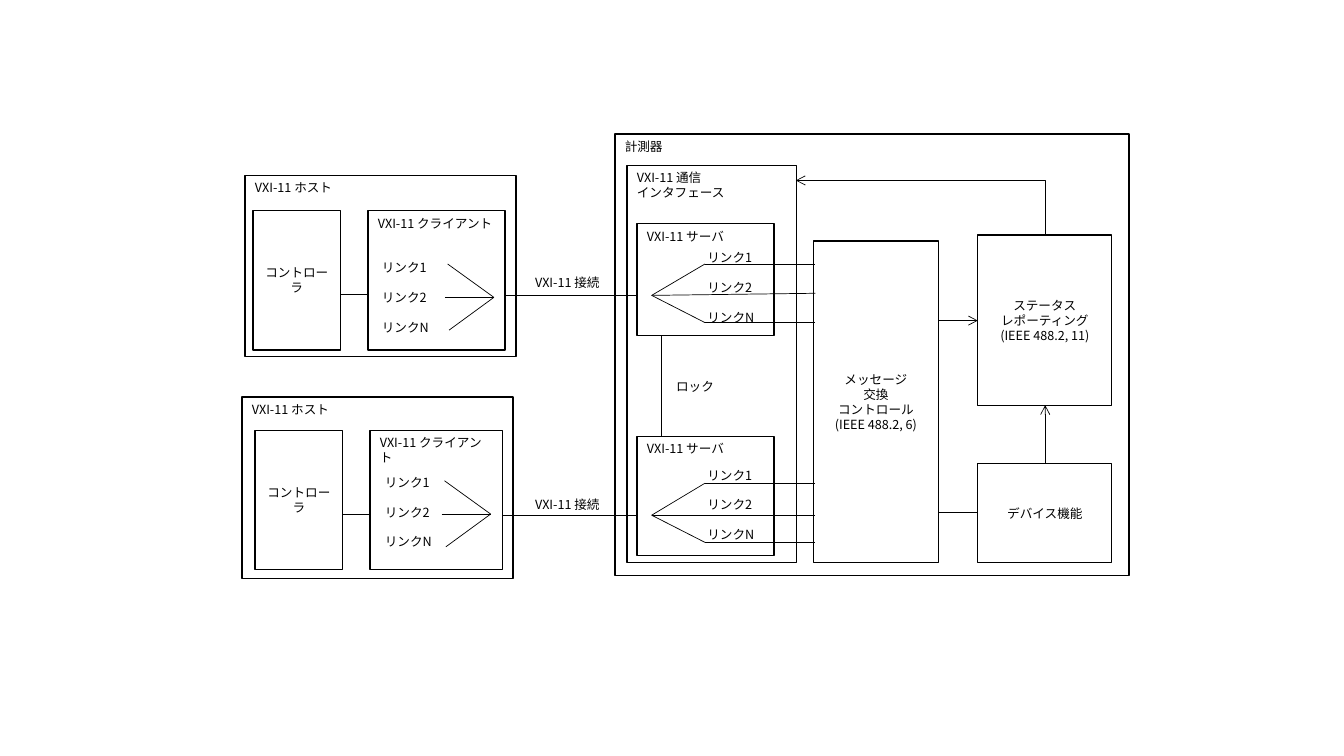
import pptx
import pptx.util
import pptx.dml.color
import pptx.enum.shapes
import pptx.enum.text
import pptx.oxml
import pptx.oxml.ns

Pt = pptx.util.Pt
qn = pptx.oxml.ns.qn
BLACK = pptx.dml.color.RGBColor(0, 0, 0)
WHITE = pptx.dml.color.RGBColor(255, 255, 255)
FONT = "Noto Sans CJK JP"
LINE_HEIGHT = 10.7
STRAIGHT = pptx.enum.shapes.MSO_CONNECTOR.STRAIGHT
ELBOW = pptx.enum.shapes.MSO_CONNECTOR.ELBOW
LINKS = "リンク1\nリンク2\nリンクN"

presentation = pptx.Presentation()
presentation.slide_width = Pt(960)
presentation.slide_height = Pt(540)
slide = presentation.slides.add_slide(presentation.slide_layouts[6])


def add_text(left, top, width, height, text, box=True, centred=False, gap=0):
    """Add a label, framed by a white rectangle when box is true."""
    bounds = Pt(left), Pt(top), Pt(width), Pt(height)
    if box:
        shape = slide.shapes.add_shape(pptx.enum.shapes.MSO_SHAPE.RECTANGLE, *bounds)
        shape.shadow.inherit = False
        shape.fill.solid()
        shape.fill.fore_color.rgb = WHITE
        shape.line.color.rgb = BLACK
        shape.line.width = Pt(1)
    else:
        shape = slide.shapes.add_textbox(*bounds)
    frame = shape.text_frame
    frame.word_wrap = True
    anchors = pptx.enum.text.MSO_ANCHOR
    frame.vertical_anchor = anchors.MIDDLE if centred else anchors.TOP
    frame.text = text
    aligns = pptx.enum.text.PP_ALIGN
    for index, paragraph in enumerate(frame.paragraphs):
        paragraph.alignment = aligns.CENTER if centred else aligns.LEFT
        paragraph.line_spacing = Pt(LINE_HEIGHT)
        paragraph.space_before = Pt(gap if index else 0)
        for run in paragraph.runs:
            run.font.size = Pt(9)
            run.font.name = FONT
            run.font.color.rgb = BLACK
            east_asian = pptx.oxml.parse_xml(
                f'<a:ea {pptx.oxml.ns.nsdecls("a")} typeface="{FONT}"/>')
            run.font._element.find(qn("a:latin")).addnext(east_asian)


def add_line(start, end, kind=STRAIGHT, arrow=None):
    """Add a thin line; arrow is headEnd (at start) or tailEnd (at end)."""
    connector = slide.shapes.add_connector(kind, *map(Pt, start + end))
    connector.line.color.rgb = BLACK
    connector.line.width = Pt(0.5)
    properties = connector._element.spPr
    if kind == ELBOW:
        properties.find(qn("a:prstGeom")).set("prst", "bentConnector2")
    if arrow:
        outline = properties.find(qn("a:ln"))
        outline.append(outline.makeelement(qn("a:" + arrow), {"type": "arrow"}))
    properties.append(properties.makeelement(qn("a:effectLst"), {}))


# Instrument and its blocks
add_text(439.2, 95.8, 367.2, 315.4, "計測器")
add_text(447.8, 118.1, 121, 283.7, "VXI-11 通信\nインタフェース")
add_text(581, 172.1, 89.3, 229.7,
         "メッセージ\n交換\nコントロール\n(IEEE 488.2, 6)", centred=True)
add_text(698.4, 331.2, 95.8, 70.6, "デバイス機能", centred=True)
add_text(698.4, 167.8, 95.8, 121.7,
         "ステータス\nレポーティング\n(IEEE 488.2, 11)", centred=True)
add_line((670.3, 229), (698.4, 229), arrow="tailEnd")
add_line((746.6, 331.2), (746.6, 289.4), arrow="tailEnd")
add_line((670.3, 365.8), (698.4, 365.8))
add_line((568.5, 128.9), (746.6, 167.8), ELBOW, "headEnd")

# Hosts: host corner, controller corner, client left and width, links corner, fan tip
hosts = [
    ((175, 125.3), (180.7, 150.5), (262.8, 97.9), (265.7, 182.2), (352.8, 212.4)),
    ((172.8, 283.7), (182.2, 307.4), (264.2, 95), (267.8, 335.5), (350.5, 367.2)),
]
for host, controller, (client, client_width), links, (tip_x, tip_y) in hosts:
    add_text(*host, 193.7, 129.6, "VXI-11 ホスト")
    add_text(*controller, 62.6, 99.4, "コントローラ", centred=True)
    add_text(client, controller[1], client_width, 99.4, "VXI-11 クライアント")
    add_text(*links, 54, 61.2, LINKS, box=False, gap=LINE_HEIGHT)
    middle = controller[1] + 59.8
    add_line((controller[0] + 62.6, middle), (client, middle))
    for run_x, rise in ((33, -23.8), (35, 0), (32, 23.4)):
        add_line((tip_x - run_x, tip_y + rise), (tip_x, tip_y))

# Servers: top, height, links top, connection label top, hub, link line heights
servers = [
    (159.8, 79.9, 175, 193, 211, (188.6, 209.5, 230.4)),
    (311.8, 85, 330.5, 351.4, 368, (345.2, 368, 387.4)),
]
for (top, height, links_top, label_top, hub, rows), host in zip(servers, hosts):
    client, client_width = host[2]
    add_text(455, top, 97.9, height, "VXI-11 サーバ")
    add_text(498.2, links_top, 54, 61.2, LINKS, box=False, gap=LINE_HEIGHT)
    add_text(375.1, label_top, 69.1, 19.4, "VXI-11 接続", box=False)
    add_line((client + client_width, hub), (455, hub))
    first, second, last = rows
    add_line((465.5, hub), (582.5, second))
    for row in (first, last):
        add_line((465.5, hub), (503.5, row))
        add_line((503.5, row), (582.5, row))

# Lock between the servers
add_text(475.9, 267.1, 69.1, 19.4, "ロック", box=False)
add_line((472.3, 239.7), (472.3, 311.8))

presentation.save("out.pptx")
